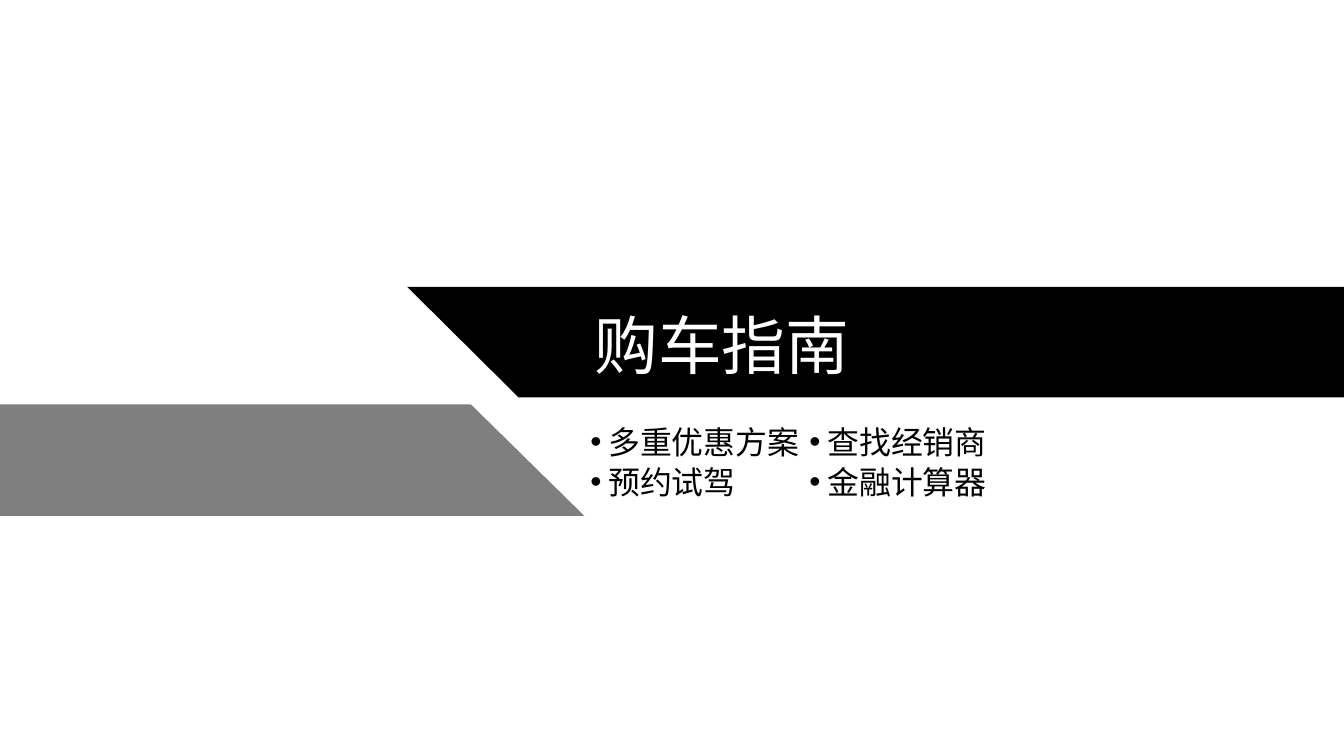
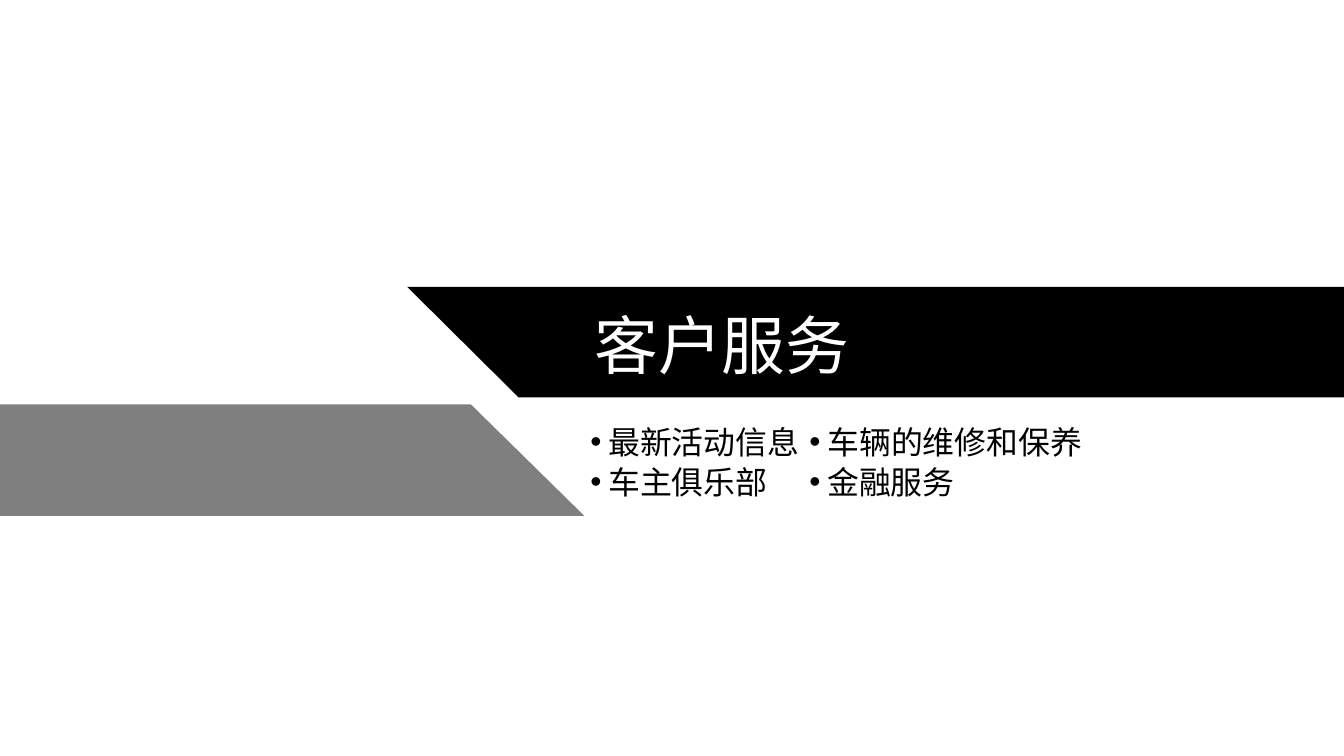
from lxml import etree
from pptx import Presentation
from pptx import util as u
from pptx.dml.color import RGBColor
from pptx.enum import text
from pptx.oxml.ns import qn

PX = 9525  # EMU per px
WIDTH, HEIGHT = 1350, 759
FONT = "Arial"
BLACK = RGBColor(0x00, 0x00, 0x00)
WHITE = RGBColor(0xFF, 0xFF, 0xFF)
GRAY = RGBColor(0x7F, 0x7F, 0x7F)

GRAY_BAND = [(-5, 406), (473, 406), (587, 518), (-5, 518)]
BLACK_BAND = [(409, 288), (WIDTH, 288), (WIDTH, 399), (521, 399)]

BULLET_LEFT, BULLET_TOP = 593, 424
COLUMN_STEP, ROW_STEP = 220, 40
BULLET_INDENT, CHARACTER_WIDTH, LINE_HEIGHT = 18, 32, 38

SECTIONS = [
    ("购车指南", [("多重优惠方案", "查找经销商"),
              ("预约试驾", "金融计算器")]),
    ("客户服务", [("最新活动信息", "车辆的维修和保养"),
              ("车主俱乐部", "金融服务")]),
]


def px(length):
    return u.Emu(length * PX)


def add_band(slide, points, color):
    builder = slide.shapes.build_freeform(*points[0], scale=PX)
    builder.add_line_segments(points[1:], close=True)
    shape = builder.convert_to_shape()
    shape.shadow.inherit = False
    shape.fill.solid()
    shape.fill.fore_color.rgb = color
    shape.line.fill.background()


def add_text(slide, box, content, size, color, wrap):
    """Add a one-line text box without margins and return its paragraph."""
    frame = slide.shapes.add_textbox(*map(px, box)).text_frame
    frame.margin_left = frame.margin_top = 0
    frame.margin_right = frame.margin_bottom = 0
    frame.word_wrap = wrap
    frame.auto_size = text.MSO_AUTO_SIZE.SHAPE_TO_FIT_TEXT
    paragraph = frame.paragraphs[0]
    run = paragraph.add_run()
    run.text = content
    run.font.name = FONT
    run.font.size = u.Pt(size)
    run.font.color.rgb = color
    return paragraph


def add_title(slide, title):
    add_text(slide, (597, 307, 418, 78), title, 48, WHITE, True)


def add_bullet(slide, left, top, content):
    width = BULLET_INDENT + CHARACTER_WIDTH * len(content) + 2
    paragraph = add_text(slide, (left, top, width, LINE_HEIGHT),
                         content, 24, BLACK, False)
    paragraph.level = 1
    properties = paragraph._p.get_or_add_pPr()
    properties.set("marL", str(px(BULLET_INDENT)))
    properties.set("indent", str(px(-BULLET_INDENT)))
    etree.SubElement(properties, qn("a:buFont"), typeface=FONT)
    etree.SubElement(properties, qn("a:buChar"), char="•")


def add_section(presentation, title, rows):
    slide = presentation.slides.add_slide(presentation.slide_layouts[6])
    add_band(slide, GRAY_BAND, GRAY)
    add_band(slide, BLACK_BAND, BLACK)
    add_title(slide, title)
    for row, items in enumerate(rows):
        for column, item in enumerate(items):
            add_bullet(slide, BULLET_LEFT + column * COLUMN_STEP,
                       BULLET_TOP + row * ROW_STEP, item)


def main():
    presentation = Presentation()
    presentation.slide_width = px(WIDTH)
    presentation.slide_height = px(HEIGHT)
    for title, rows in SECTIONS:
        add_section(presentation, title, rows)
    presentation.save("out.pptx")


if __name__ == "__main__":
    main()
